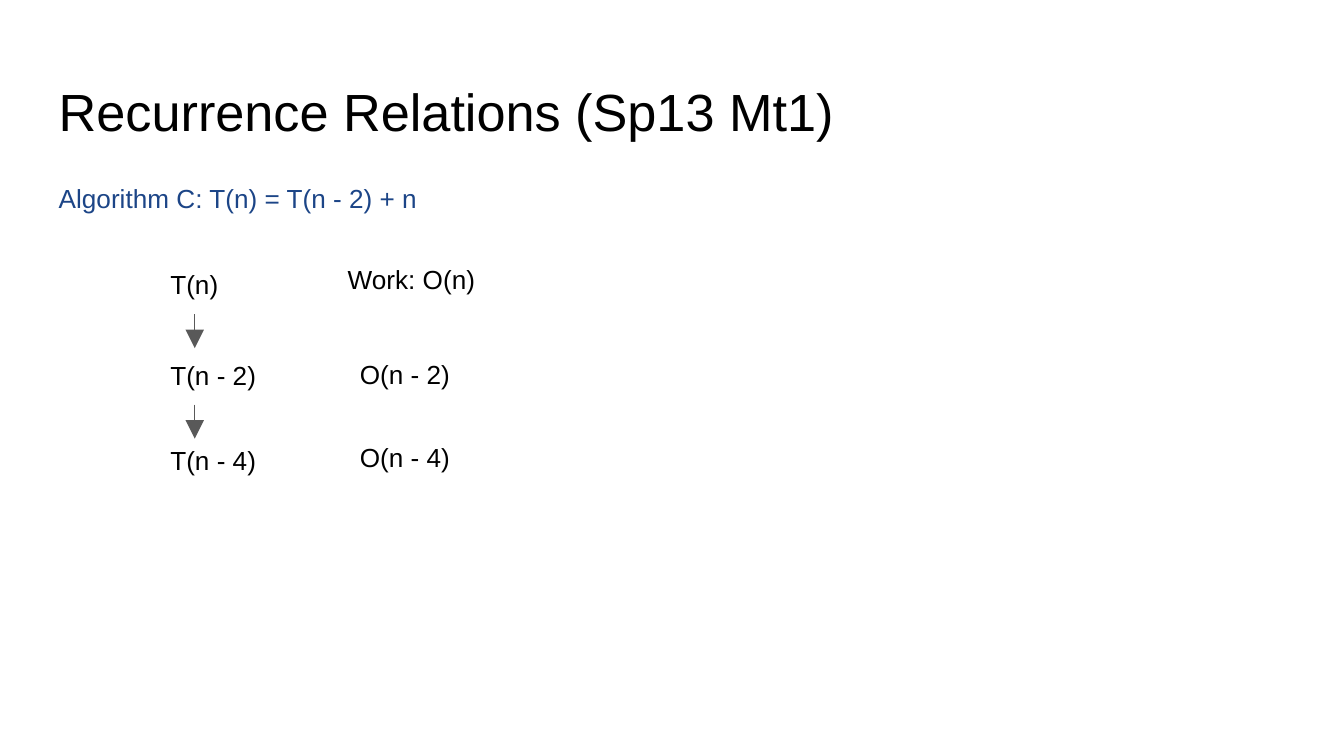
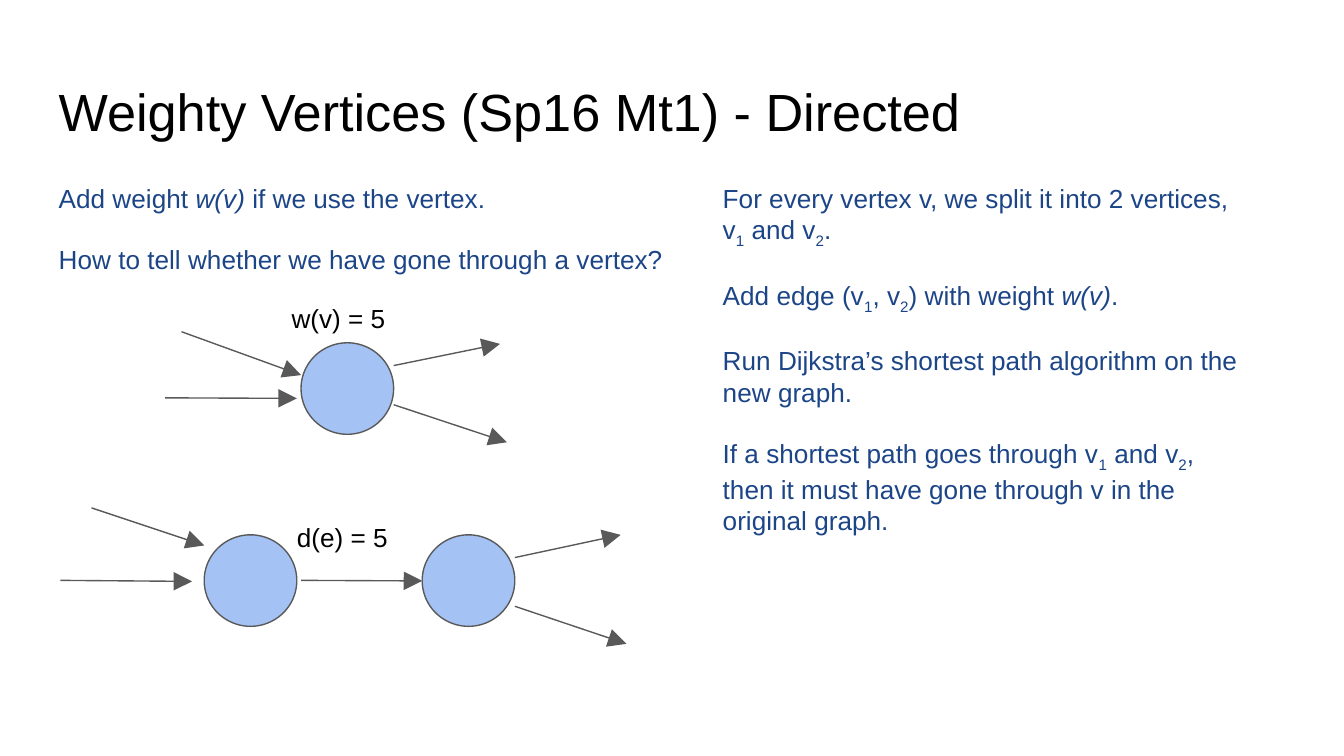
from dataclasses import dataclass

from lxml.etree import SubElement
from pptx import Presentation
from pptx.dml.color import RGBColor
from pptx.enum.shapes import MSO_CONNECTOR as Connector, MSO_SHAPE as Preset
from pptx.enum.text import MSO_ANCHOR as Anchor, MSO_AUTO_SIZE as AutoSize, PP_ALIGN as Align
from pptx.oxml.ns import qn
from pptx.presentation import Presentation as Deck
from pptx.slide import Slide
from pptx.text.text import TextFrame
from pptx.util import Cm, Pt

# Shared style, lengths in centimetres
FONT = "Arial"
BLACK, NAVY, GRAY, SKY = "000000", "1C4587", "595959", "A4C2F4"
TITLE_SIZE, TEXT_SIZE = 28, 14
INSET = 0.25
MARGIN, BODY_TOP, BODY_HEIGHT = 0.86, 3.2, 9.73
BODY_WIDTH = 23.16
VERTEX_WIDTH, VERTEX_HEIGHT = 1.75, 1.73


@dataclass(frozen=True)
class Box:
    left: float
    top: float
    width: float
    height: float

    def lengths(self) -> tuple[Cm, Cm, Cm, Cm]:
        return Cm(self.left), Cm(self.top), Cm(self.width), Cm(self.height)


@dataclass(frozen=True)
class Span:
    text: str
    italic: bool = False
    subscript: bool = False


@dataclass(frozen=True)
class Label:
    text: str
    box: Box


@dataclass(frozen=True)
class Edge:
    x1: float
    y1: float
    x2: float
    y2: float


Paragraph = list[Span]

TITLE_BOX = Box(MARGIN, 1.24, 23.67, 1.6)
SUB_1, SUB_2 = Span("1", subscript=True), Span("2", subscript=True)
WEIGHT = Span("w(v)", italic=True)


def color(value: str) -> RGBColor:
    return RGBColor.from_string(value)


def write(frame: TextFrame, paragraphs: list[Paragraph], size: int, ink: str,
          space_after: int = 0) -> None:
    frame.word_wrap = True
    frame.auto_size = AutoSize.NONE
    frame.vertical_anchor = Anchor.TOP
    frame.margin_left = frame.margin_right = Cm(INSET)
    frame.margin_top = frame.margin_bottom = Cm(INSET)
    for index, spans in enumerate(paragraphs):
        paragraph = frame.add_paragraph() if index else frame.paragraphs[0]
        paragraph.alignment = Align.LEFT
        paragraph.space_after = Pt(space_after)
        for span in spans:
            run = paragraph.add_run()
            run.text = span.text
            run.font.name = FONT
            run.font.size = Pt(size)
            run.font.italic = span.italic
            run.font.color.rgb = color(ink)
            if span.subscript:
                run._r.get_or_add_rPr().set("baseline", "-25000")


def add_titled_slide(deck: Deck, title: str) -> Slide:
    slide = deck.slides.add_slide(deck.slide_layouts[5])
    heading = slide.shapes.title
    heading.left, heading.top, heading.width, heading.height = TITLE_BOX.lengths()
    write(heading.text_frame, [[Span(title)]], TITLE_SIZE, BLACK)
    return slide


def add_body(slide: Slide, box: Box, paragraphs: list[Paragraph]) -> None:
    body = slide.shapes.add_textbox(*box.lengths())
    write(body.text_frame, paragraphs, TEXT_SIZE, NAVY, space_after=16)


def add_label(slide: Slide, label: Label) -> None:
    caption = slide.shapes.add_textbox(*label.box.lengths())
    write(caption.text_frame, [[Span(label.text)]], TEXT_SIZE, BLACK)


def add_vertex(slide: Slide, left: float, top: float) -> None:
    box = Box(left, top, VERTEX_WIDTH, VERTEX_HEIGHT)
    vertex = slide.shapes.add_shape(Preset.OVAL, *box.lengths())
    vertex.shadow.inherit = False
    vertex.fill.solid()
    vertex.fill.fore_color.rgb = color(SKY)
    vertex.line.color.rgb = color(GRAY)
    vertex.line.width = Pt(0.75)


def add_arrow(slide: Slide, edge: Edge) -> None:
    arrow = slide.shapes.add_connector(
        Connector.STRAIGHT, Cm(edge.x1), Cm(edge.y1), Cm(edge.x2), Cm(edge.y2))
    arrow.line.color.rgb = color(GRAY)
    arrow.line.width = Pt(0.75)
    SubElement(arrow.line._get_or_add_ln(), qn("a:tailEnd"), type="triangle", w="lg", len="lg")
    SubElement(arrow._element.spPr, qn("a:effectLst"))


def build_recurrence(deck: Deck) -> None:
    slide = add_titled_slide(deck, "Recurrence Relations (Sp13 Mt1)")
    add_body(slide, Box(MARGIN, BODY_TOP, BODY_WIDTH, BODY_HEIGHT),
             [[Span("Algorithm C: T(n) = T(n - 2) + n")]])

    # Chain of recursive calls
    for call, top in (("T(n)", 4.83), ("T(n - 2)", 6.55), ("T(n - 4)", 8.15)):
        add_label(slide, Label(call, Box(2.97, top, 4.9, 0.94)))
    for start in (5.94, 7.65):
        add_arrow(slide, Edge(3.68, start, 3.68, start + 0.64))

    # Work done by each call
    for work, left, top in (("Work: O(n)", 6.32, 4.72), ("O(n - 2)", 6.55, 6.53),
                            ("O(n - 4)", 6.55, 8.1)):
        add_label(slide, Label(work, Box(left, top, 3.28, 1.22)))


def build_weighty_vertices(deck: Deck) -> None:
    slide = add_titled_slide(deck, "Weighty Vertices (Sp16 Mt1) - Directed")
    add_body(slide, Box(MARGIN, BODY_TOP, BODY_WIDTH, 2.39), [
        [Span("Add weight "), WEIGHT, Span(" if we use the vertex.")],
        [Span("How to tell whether we have gone through a vertex?")],
    ])

    # Weighted vertex above, its split pair below
    for left, top in ((5.69, 6.48), (3.86, 10.11), (7.98, 10.11)):
        add_vertex(slide, left, top)
    edges = [
        # Into and out of the weighted vertex
        Edge(3.43, 6.27, 5.69, 7.09), Edge(3.12, 7.52, 5.61, 7.53),
        Edge(7.44, 6.91, 9.45, 6.5), Edge(7.44, 7.65, 9.58, 8.36),
        # Into, between and out of the split pair
        Edge(1.73, 9.6, 3.86, 10.31), Edge(1.14, 10.97, 3.63, 10.99),
        Edge(5.69, 10.97, 7.98, 10.98),
        Edge(9.73, 10.54, 11.73, 10.11), Edge(9.73, 11.46, 11.84, 12.17),
    ]
    for edge in edges:
        add_arrow(slide, edge)
    for weight, left, top in (("w(v) = 5", 5.26, 5.46), ("d(e) = 5", 5.36, 9.6)):
        add_label(slide, Label(weight, Box(left, top, 2.87, 1.17)))

    # Explanation of the split
    add_body(slide, Box(13.41, BODY_TOP, 10.31, BODY_HEIGHT), [
        [Span("For every vertex v, we split it into 2 vertices, v"), SUB_1,
         Span(" and v"), SUB_2, Span(".")],
        [Span("Add edge (v"), SUB_1, Span(", v"), SUB_2, Span(") with weight "),
         WEIGHT, Span(".")],
        [Span("Run Dijkstra’s shortest path algorithm on the new graph.")],
        [Span("If a shortest path goes through v"), SUB_1, Span(" and v"), SUB_2,
         Span(", then it must have gone through v in the original graph.")],
    ])


def main() -> None:
    deck = Presentation()
    deck.slide_width, deck.slide_height = Cm(25.4), Cm(14.29)
    build_recurrence(deck)
    build_weighty_vertices(deck)
    deck.save("out.pptx")


if __name__ == "__main__":
    main()
